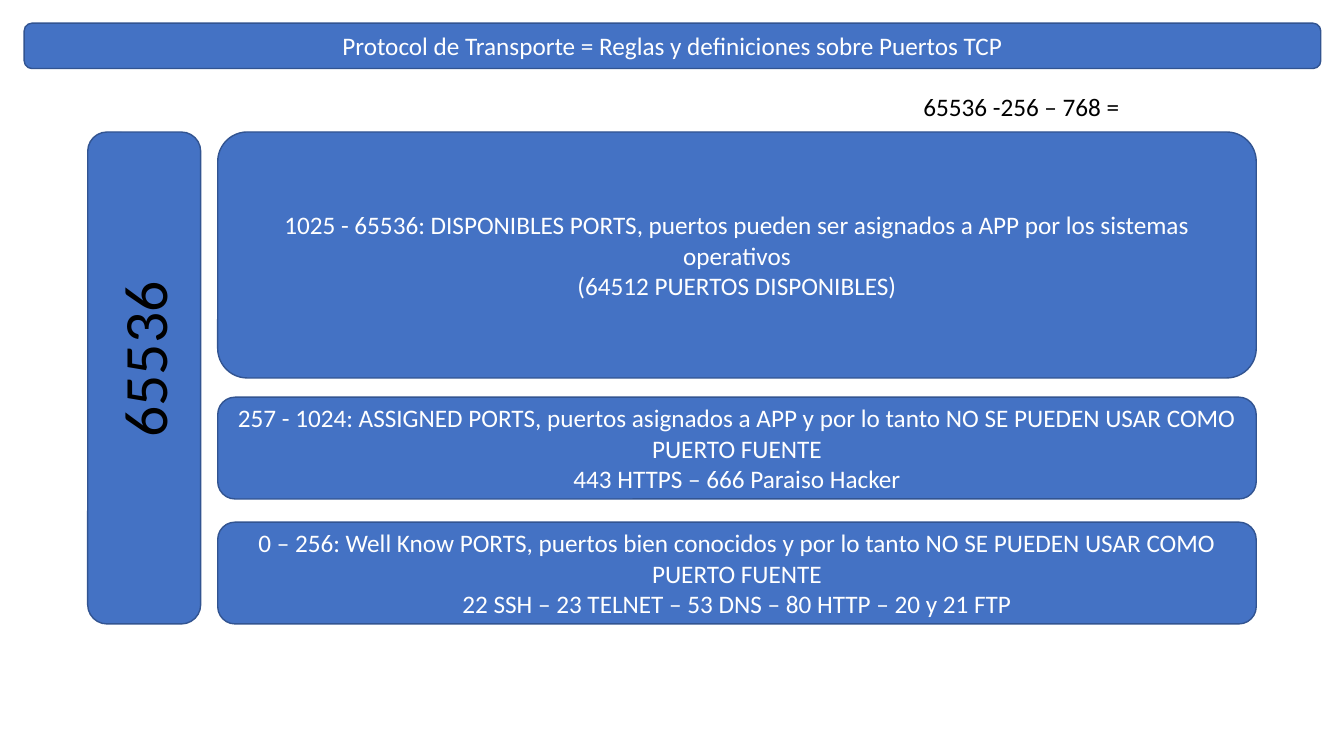
from dataclasses import dataclass

from pptx import Presentation
from pptx import util as u
from pptx.dml.color import RGBColor
from pptx.enum import shapes, text


@dataclass(frozen=True)
class Theme:
    font: str = "Calibri"
    fill: str = "4472C4"
    line: str = "325491"
    light: str = "FFFFFF"
    dark: str = "000000"
    body: int = 18
    total: int = 44


THEME = Theme()
BAND_LEFT, BAND_WIDTH = 2.16, 10.3
STACK_TOP, STACK_HEIGHT = 1.31, 4.88

# Port ranges: top, height, corner radius ratio, paragraphs
PORT_BANDS = [
    (STACK_TOP, 2.44, 0.12,
     ["1025 - 65536: DISPONIBLES PORTS, puertos pueden ser asignados a APP "
      "por los sistemas operativos",
      "(64512 PUERTOS DISPONIBLES)"]),
    (3.94, 1.01, 0.17,
     ["257 - 1024: ASSIGNED PORTS, puertos asignados a APP y por lo tanto "
      "NO SE PUEDEN USAR COMO PUERTO FUENTE",
      "443 HTTPS – 666 Paraiso Hacker"]),
    (5.18, 1.01, 0.17,
     ["0 – 256: Well Know PORTS, puertos bien conocidos y por lo tanto "
      "NO SE PUEDEN USAR COMO PUERTO FUENTE",
      "22 SSH – 23 TELNET – 53 DNS – 80 HTTP – 20 y 21 FTP"]),
]


def inches(*lengths):
    return [u.Inches(length) for length in lengths]


def write(tf, lines, size, color, align):
    tf.text = "\n".join(lines)
    for p in tf.paragraphs:
        p.alignment = align
        for r in p.runs:
            r.font.name = THEME.font
            r.font.size = u.Pt(size)
            r.font.color.rgb = RGBColor.from_string(color)


def add_box(s, left, top, width, height, radius=0.17, lines=()):
    sp = s.shapes.add_shape(shapes.MSO_SHAPE.ROUNDED_RECTANGLE,
                            *inches(left, top, width, height))
    sp.adjustments[0] = radius
    sp.shadow.inherit = False
    sp.fill.solid()
    sp.fill.fore_color.rgb = RGBColor.from_string(THEME.fill)
    sp.line.color.rgb = RGBColor.from_string(THEME.line)
    sp.line.width = u.Pt(1)
    if lines:
        sp.text_frame.vertical_anchor = text.MSO_ANCHOR.MIDDLE
        write(sp.text_frame, lines, THEME.body, THEME.light,
              text.PP_ALIGN.CENTER)


def add_label(s, left, top, width, height, label, size, rotation=0):
    sp = s.shapes.add_textbox(*inches(left, top, width, height))
    sp.rotation = rotation
    tf = sp.text_frame
    tf.word_wrap = False
    tf.auto_size = text.MSO_AUTO_SIZE.SHAPE_TO_FIT_TEXT
    write(tf, [label], size, THEME.dark, text.PP_ALIGN.LEFT)


def add_title(s, left, top, width, height, label):
    add_box(s, left, top, width, height)
    sp = s.shapes.title
    sp.left, sp.top, sp.width, sp.height = inches(left, top, width, height)
    # Bring the title in front of its banner
    s.shapes.element.append(sp.element)
    tf = sp.text_frame
    tf.auto_size = text.MSO_AUTO_SIZE.NONE
    tf.vertical_anchor = text.MSO_ANCHOR.MIDDLE
    write(tf, [label], THEME.body, THEME.light, text.PP_ALIGN.CENTER)


def main():
    prs = Presentation()
    prs.slide_width, prs.slide_height = inches(13.33, 7.5)
    s = prs.slides.add_slide(prs.slide_layouts.get_by_name("Title Only"))

    # Title banner
    add_title(s, 0.24, 0.23, 12.86, 0.45,
              "Protocol de Transporte = Reglas y definiciones sobre Puertos TCP")

    # Total number of ports
    add_box(s, 0.87, STACK_TOP, 1.12, STACK_HEIGHT)
    add_label(s, 0.54, 3.14, 1.76, 0.84, "65536", THEME.total, rotation=270)

    # Port ranges and the subtraction above them
    for top, height, radius, lines in PORT_BANDS:
        add_box(s, BAND_LEFT, top, BAND_WIDTH, height, radius, lines)
    add_label(s, 9.06, 0.86, 2.23, 0.4, "65536 -256 – 768 =", THEME.body)

    prs.save("out.pptx")


if __name__ == "__main__":
    main()
